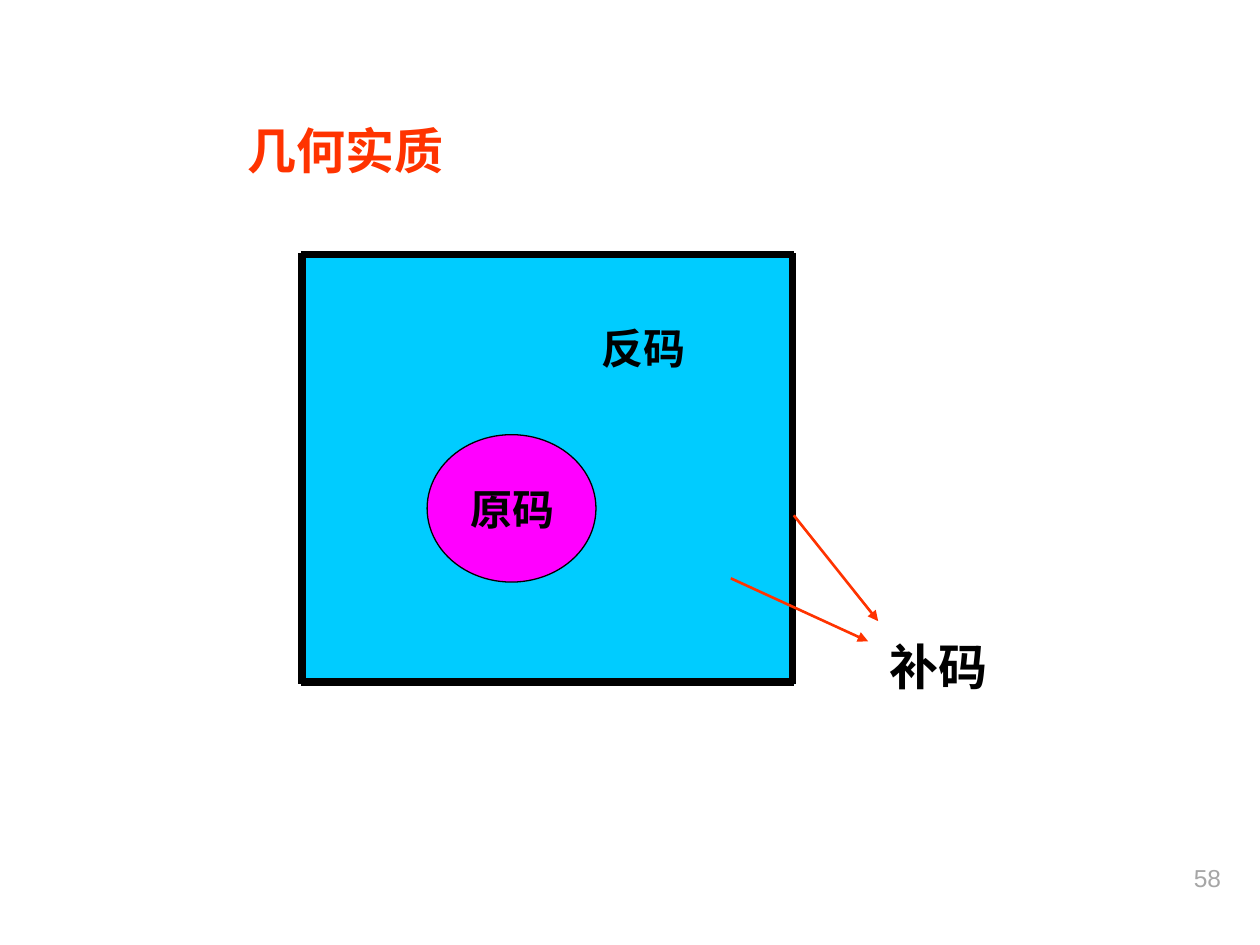
from pptx import Presentation
from pptx.dml.color import RGBColor
from pptx.enum.shapes import MSO_CONNECTOR, MSO_SHAPE
from pptx.enum.text import PP_ALIGN
from pptx.oxml.ns import qn
from pptx.util import Inches, Pt
from lxml.etree import SubElement

theme = {
    "font": "Arial",
    "ink": RGBColor(0, 0, 0),
    "red": RGBColor(0xFF, 0x33, 0x00),
    "sky": RGBColor(0x00, 0xCC, 0xFF),
    "pink": RGBColor(0xFF, 0x00, 0xFF),
    "gray": RGBColor(0xA6, 0xA6, 0xA6),
    "large": Pt(28),
    "mid": Pt(24),
    "small": Pt(14),
    "frame": Pt(4.5),
    "arrow": Pt(1.5),
    "thin": Pt(0.75),
}

deck = Presentation()
deck.slide_width, deck.slide_height = Inches(10), Inches(7.5)
col, row = deck.slide_width / 100, deck.slide_height / 75
slide = deck.slides.add_slide(deck.slide_layouts[6])
shapes = slide.shapes


def place(x, y, w, h):
    return round(x * col), round(y * row), round(w * col), round(h * row)


def draw(start, end, color, width):
    line = shapes.add_connector(MSO_CONNECTOR.STRAIGHT, *place(*start, *end))
    line.line.color.rgb = theme[color]
    line.line.width = theme[width]
    SubElement(line._element.spPr, qn("a:effectLst"))
    return line


left, top, wide, high = 23.9, 20.1, 39.2, 34.2
for kind, box, fill in (
    (MSO_SHAPE.RECTANGLE, (left, top, wide, high), "sky"),
    (MSO_SHAPE.OVAL, (33.9, 34.5, 13.4, 11.7), "pink"),
):
    shape = shapes.add_shape(kind, *place(*box))
    shape.shadow.inherit = False
    shape.fill.solid()
    shape.fill.fore_color.rgb = theme[fill]
    if kind == MSO_SHAPE.OVAL:
        shape.line.color.rgb = theme["ink"]
        shape.line.width = theme["thin"]
    else:
        shape.line.fill.background()

for text, box, size, color, bold, align in (
    ("几何实质", (13.8, 9.1, 27.2, 5.7), "large", "red", True, PP_ALIGN.CENTER),
    ("反码", (44.7, 25.1, 12.7, 5), "mid", "ink", True, PP_ALIGN.CENTER),
    ("原码", (35.8, 37.9, 9.8, 5), "mid", "ink", True, PP_ALIGN.CENTER),
    ("补码", (69.5, 50, 10, 5.7), "large", "ink", True, PP_ALIGN.CENTER),
    ("58", (78.9, 68, 19, 5.2), "small", "gray", False, PP_ALIGN.RIGHT),
):
    frame = shapes.add_textbox(*place(*box)).text_frame
    frame.word_wrap = True
    para = frame.paragraphs[0]
    para.text = text
    para.alignment = align
    para.font.name = theme["font"]
    para.font.size = theme[size]
    para.font.bold = bold
    para.font.color.rgb = theme[color]

right, base = left + wide, top + high
for x in (left + 0.1, right - 0.2):
    draw((x, top), (x, base), "ink", "frame")
for y in (top + 0.1, base - 0.2):
    draw((left, y), (right - 0.1, y), "ink", "frame")

for start, end in (((58, 45.9), (68.9, 50.9)), ((63, 40.9), (69.7, 49.3))):
    arrow = draw(start, end, "red", "arrow")
    SubElement(arrow.line._get_or_add_ln(), qn("a:tailEnd"), type="triangle")

deck.save("out.pptx")
